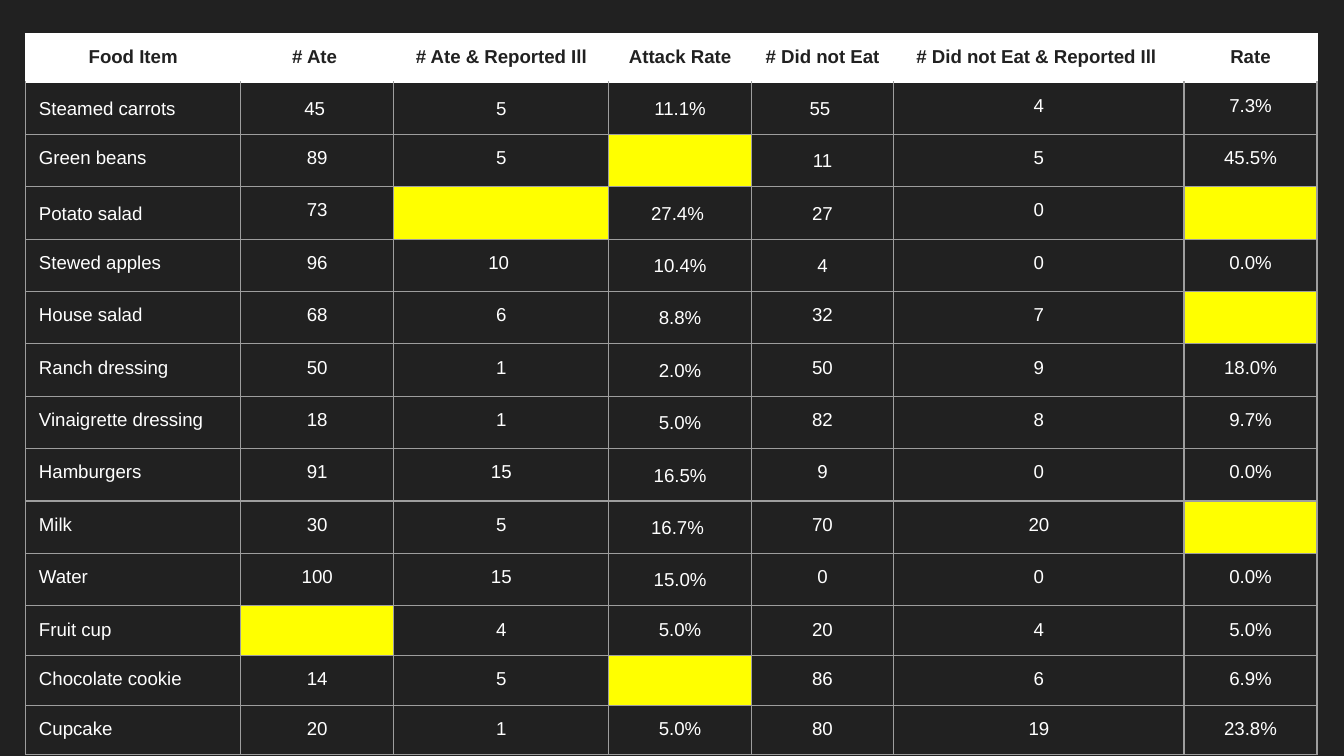
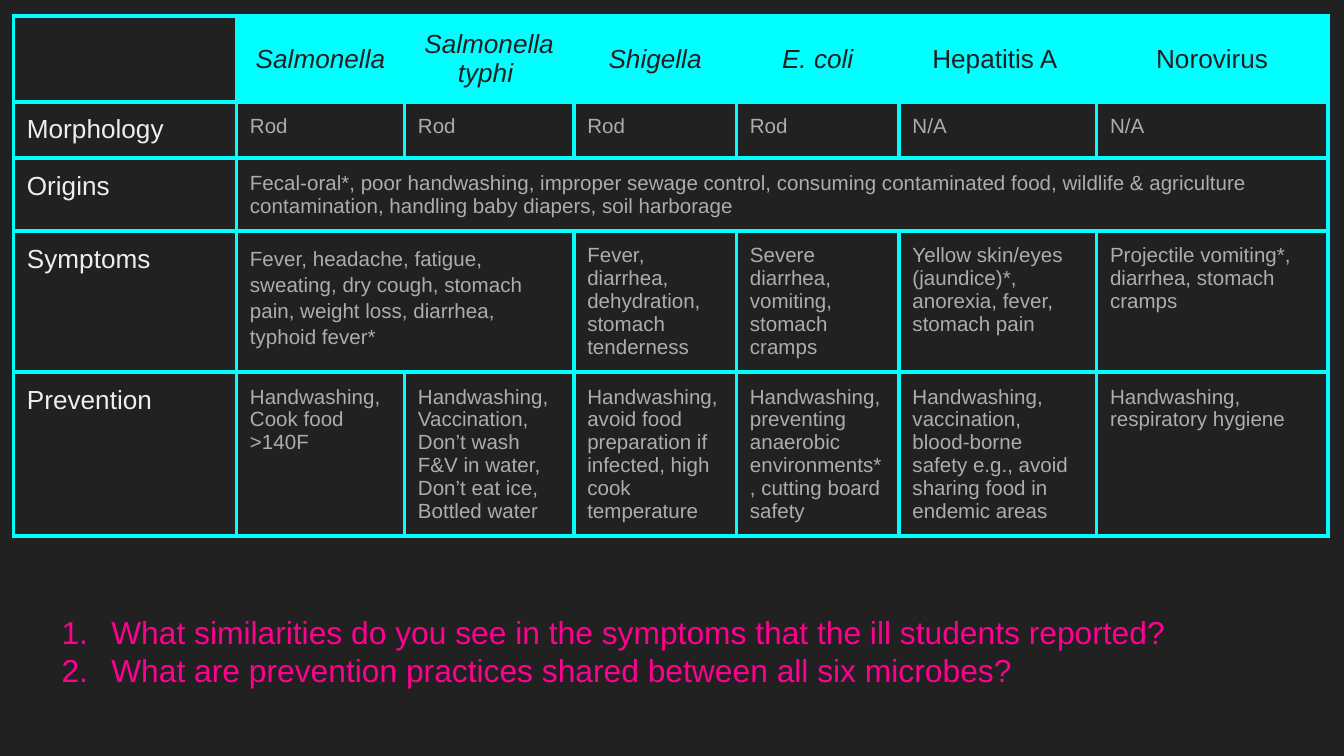
from lxml import etree
from pptx import Presentation
from pptx.dml.color import RGBColor
from pptx.enum.text import MSO_ANCHOR, MSO_AUTO_SIZE, PP_ALIGN
from pptx.oxml.ns import qn
from pptx.util import Inches, Pt

LEFT, CENTER = PP_ALIGN.LEFT, PP_ALIGN.CENTER
TOP, MIDDLE = MSO_ANCHOR.TOP, MSO_ANCHOR.MIDDLE
GROW = MSO_AUTO_SIZE.SHAPE_TO_FIT_TEXT

FONT = "Arial"
DARK, WHITE, GRID, YELLOW = "212121", "FFFFFF", "9E9E9E", "FFFF00"
CYAN, PALE, GRAY, PINK = "00FFFF", "EEEEEE", "ADADAD", "FF0091"

FOOD_HEADINGS = ["Food Item", "# Ate ", "# Ate & Reported Ill", "Attack Rate",
                 "# Did not Eat ", "# Did not Eat & Reported Ill ", "Rate"]
# An empty string is a value the students work out.
FOODS = [
    ["Steamed carrots", "45 ", "5", "11.1%", "55 ", "4", "7.3%"],
    ["Green beans", "89", "5", "", "11", "5", "45.5%"],
    ["Potato salad", "73", "", "27.4% ", "27", "0", ""],
    ["Stewed apples", "96", "10 ", "10.4%", "4", "0", "0.0%"],
    ["House salad", "68", "6", "8.8%", "32", "7", ""],
    ["Ranch dressing", "50", "1", "2.0%", "50", "9", "18.0%"],
    ["Vinaigrette dressing", "18", "1", "5.0%", "82", "8", "9.7%"],
    ["Hamburgers", "91", "15", "16.5%", "9", "0", "0.0%"],
    ["Milk", "30", "5", "16.7% ", "70", "20", ""],
    ["Water", "100", "15", "15.0%", "0", "0", "0.0%"],
    ["Fruit cup", "", "4", "5.0%", "20", "4", "5.0%"],
    ["Chocolate cookie", "14", "5", "", "86", "6", "6.9%"],
    ["Cupcake", "20", "1", "5.0%", "80", "19", "23.8%"],
]
# Columns set with wider line spacing, by food row; rows 5 to 10 only in Attack Rate.
LOOSE_COLUMNS = {1: range(5), 2: [4], 3: [0, 3, 4], 4: [3, 4],
                 **{row: [3] for row in range(5, 11)}}

MICROBES = ["Salmonella", "Salmonella typhi ", "Shigella", "E. coli",
            "Hepatitis A ", "Norovirus"]
VIRUSES = MICROBES[4:]
# None continues the merged cell on its left.
TRAITS = {
    "Morphology": ["Rod", "Rod", "Rod", "Rod", "N/A", "N/A"],
    "Origins": ["Fecal-oral*, poor handwashing, improper sewage control, consuming "
                "contaminated food, wildlife & agriculture contamination, handling "
                "baby diapers, soil harborage", None, None, None, None, None],
    "Symptoms": [
        "Fever, headache, fatigue, sweating, dry cough, stomach pain, weight loss, "
        "diarrhea, typhoid fever*", None,
        "Fever, diarrhea, dehydration, stomach tenderness",
        "Severe diarrhea, vomiting, stomach cramps",
        "Yellow skin/eyes (jaundice)*, anorexia, fever, stomach pain",
        "Projectile vomiting*, diarrhea, stomach cramps"],
    "Prevention": [
        "Handwashing,\nCook food >140F",
        "Handwashing,\nVaccination,\nDon’t wash F&V in water,\nDon’t eat ice,\nBottled water",
        "Handwashing, avoid food preparation if infected, high cook temperature",
        "Handwashing, preventing anaerobic environments*, cutting board safety",
        "Handwashing, vaccination, blood-borne safety e.g., avoid sharing food in endemic areas",
        "Handwashing, respiratory hygiene"],
}
QUESTIONS = ["What similarities do you see in the symptoms that the ill students reported?",
             "What are prevention practices shared between all six microbes?"]


def rgb(color):
    return RGBColor.from_string(color)


class Deck:
    """Holds the presentation, its shared style and the current slide."""

    def __init__(self):
        self.prs = Presentation()
        self.prs.slide_width = Inches(10)
        self.prs.slide_height = Inches(10) * 9 // 16
        self.slide = None

    def new_slide(self):
        self.slide = self.prs.slides.add_slide(self.prs.slide_layouts[6])
        background = self.slide.background.fill
        background.solid()
        background.fore_color.rgb = rgb(DARK)

    def style(self, paragraph, size, color, bold=False, italic=False):
        font = paragraph.font
        font.name, font.size, font.bold, font.italic = FONT, Pt(size), bold, italic
        font.color.rgb = rgb(color)

    def table(self, left, top, widths, heights):
        table = self.slide.shapes.add_table(
            len(heights), len(widths), Inches(left), Inches(top),
            Inches(sum(widths)), Inches(sum(heights))).table
        table.first_row = table.horz_banding = False
        for column, width in zip(table.columns, widths):
            column.width = Inches(width)
        for row, height in zip(table.rows, heights):
            row.height = Inches(height)
        return table

    def cell(self, cell, text, size, color, fill=None, align=LEFT, anchor=TOP,
             spacing=None, bold=False, italic=False):
        cell.margin_left = cell.margin_right = Inches(0.1)
        cell.margin_top = cell.margin_bottom = Inches(0.1)
        cell.vertical_anchor = anchor
        if fill:
            cell.fill.solid()
            cell.fill.fore_color.rgb = rgb(fill)
        else:
            cell.fill.background()
        cell.text = text
        for paragraph in cell.text_frame.paragraphs:
            paragraph.alignment = align
            if spacing:
                paragraph.line_spacing = spacing
            self.style(paragraph, size, color, bold, italic)
            if not text:  # keeps an empty row from growing to the default size
                etree.SubElement(paragraph._p, qn("a:endParaRPr"), sz=str(size * 100))

    def borders(self, cell, color, width, top=None):
        """Draw all four sides; top, if given, is the colour of the upper side."""
        properties = cell._tc.get_or_add_tcPr()
        for place, side in enumerate("LRTB"):
            line = etree.Element(qn(f"a:ln{side}"), w=str(Pt(width)))
            fill = etree.SubElement(line, qn("a:solidFill"))
            shade = top if top and side == "T" else color
            etree.SubElement(fill, qn("a:srgbClr"), val=shade)
            properties.insert(place, line)

    def numbered_list(self, left, top, width, height, items, size, color):
        box = self.slide.shapes.add_textbox(
            Inches(left), Inches(top), Inches(width), Inches(height))
        frame = box.text_frame
        frame.word_wrap, frame.auto_size = True, GROW
        frame.margin_left = frame.margin_right = Inches(0.1)
        frame.margin_top = frame.margin_bottom = Inches(0.1)
        frame.text = "\n".join(items)
        for paragraph in frame.paragraphs:
            properties = paragraph._p.get_or_add_pPr()
            properties.set("marL", str(Inches(0.5)))
            properties.set("indent", str(Inches(-0.37)))
            bullet_color = etree.SubElement(properties, qn("a:buClr"))
            etree.SubElement(bullet_color, qn("a:srgbClr"), val=color)
            etree.SubElement(properties, qn("a:buAutoNum"), type="arabicPeriod")
            self.style(paragraph, size, color)


def attack_rate_slide(deck):
    deck.new_slide()
    table = deck.table(0.19, 0.25, [1.6, 1.14, 1.6, 1.06, 1.06, 2.16, 0.99],
                       [0.36] + [0.39] * 10 + [0.37] * 3)
    for column, heading in enumerate(FOOD_HEADINGS):
        cell = table.cell(0, column)
        deck.cell(cell, heading, 10, DARK, WHITE, CENTER, bold=True)
        deck.borders(cell, WHITE, 0.75)
    for row, food in enumerate(FOODS, 1):
        for column, value in enumerate(food):
            cell = table.cell(row, column)
            deck.cell(cell, value, 10, WHITE, None if value else YELLOW,
                      CENTER if column else LEFT,
                      spacing=1.15 if column in LOOSE_COLUMNS.get(row, []) else None)
            deck.borders(cell, GRID, 0.75, top=WHITE if row == 1 else None)


def microbe_slide(deck):
    deck.new_slide()
    table = deck.table(0.1, 0.12, [1.66, 1.25, 1.26, 1.21, 1.21, 1.47, 1.72],
                       [0.63, 0.42, 0.54, 1.05, 1.22])
    deck.cell(table.cell(0, 0), "", 14, PALE)
    for column, microbe in enumerate(MICROBES, 1):
        deck.cell(table.cell(0, column), microbe, 14, DARK, CYAN, CENTER, MIDDLE,
                  italic=microbe not in VIRUSES)
    for row, (trait, details) in enumerate(TRAITS.items(), 1):
        deck.cell(table.cell(row, 0), trait, 14, PALE)
        for column, detail in enumerate(details, 1):
            merged_symptoms = trait == "Symptoms" and column == 1
            deck.cell(table.cell(row, column), detail or "", 11, GRAY,
                      spacing=1.15 if merged_symptoms else None)
    for cell in table.iter_cells():
        deck.borders(cell, CYAN, 2.25)
    table.cell(2, 1).merge(table.cell(2, 6))
    table.cell(3, 1).merge(table.cell(3, 2))
    deck.numbered_list(0.23, 4.46, 9.1, 0.77, QUESTIONS, 17, PINK)


def main():
    deck = Deck()
    attack_rate_slide(deck)
    microbe_slide(deck)
    deck.prs.save("out.pptx")


if __name__ == "__main__":
    main()
